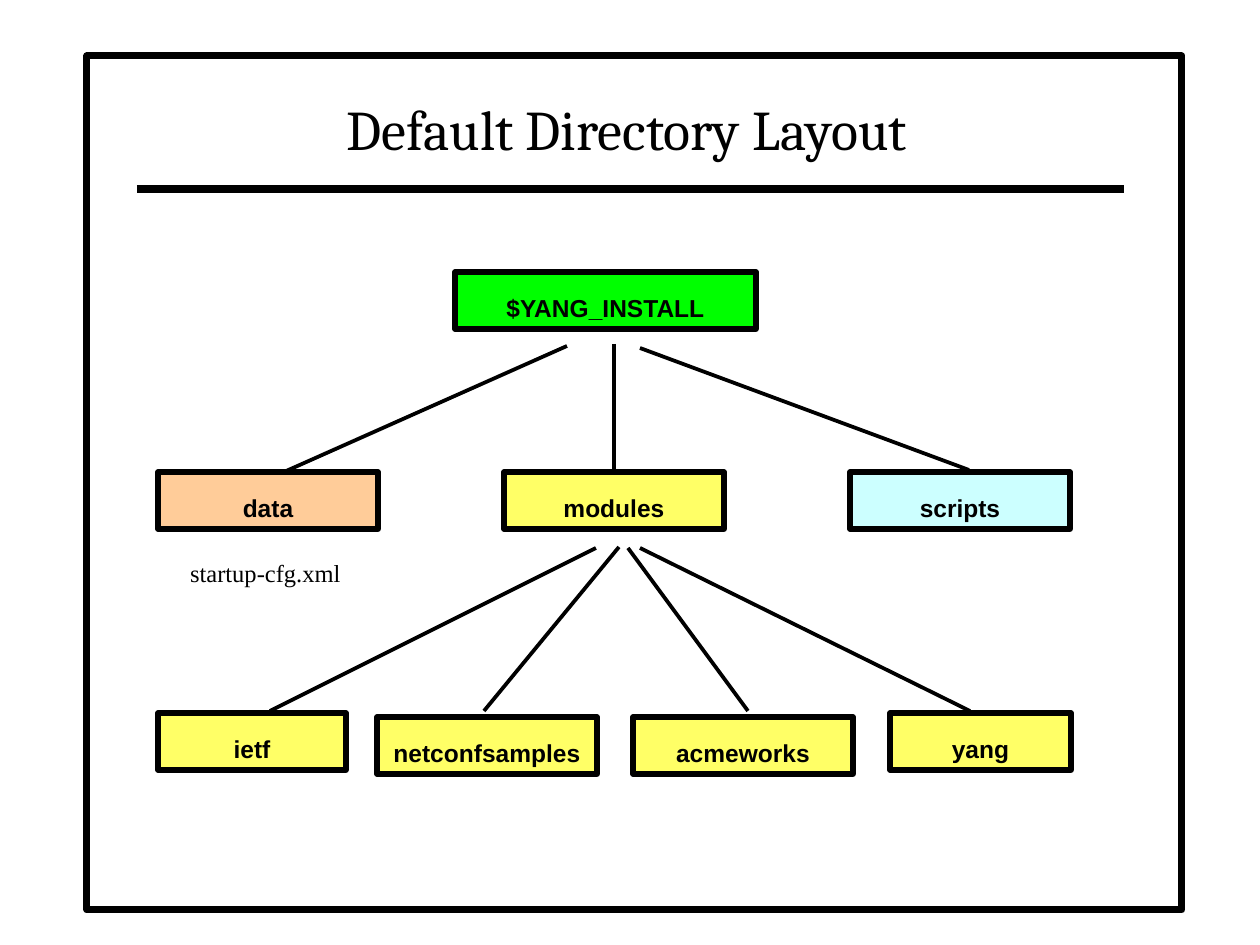
from pptx import Presentation
from pptx.dml.color import RGBColor
from pptx.enum.shapes import MSO_CONNECTOR, MSO_SHAPE
from pptx.enum.text import MSO_ANCHOR, MSO_AUTO_SIZE, PP_ALIGN
from pptx.oxml.ns import qn
from pptx.util import Pt
from lxml import etree

RECT = MSO_SHAPE.RECTANGLE
LINE = MSO_CONNECTOR.STRAIGHT
TOP, BOTTOM = MSO_ANCHOR.TOP, MSO_ANCHOR.BOTTOM
GROW = MSO_AUTO_SIZE.SHAPE_TO_FIT_TEXT
LEFT, CENTER = PP_ALIGN.LEFT, PP_ALIGN.CENTER

SCALE = 914400 / 126  # EMU in one px
COLORS = {
    "black": "000000",
    "white": "FFFFFF",
    "green": "00FF00",
    "peach": "FFCC99",
    "yellow": "FFFF66",
    "cyan": "CCFFFF",
}
HIGH = 57    # height of a folder box
WIDE = 220   # usual width of a folder box
STEP = 346   # from one second-level folder to the next


def px(n):
    return round(n * SCALE)


def color(name):
    return RGBColor.from_string(COLORS[name])


def add_box(slide, x, y, w, h, fill, weight):
    box = slide.shapes.add_shape(RECT, px(x), px(y), px(w), px(h))
    box.shadow.inherit = False
    box.fill.solid()
    box.fill.fore_color.rgb = color(fill)
    box.line.color.rgb = color("black")
    box.line.width = Pt(weight)
    return box


def add_run(para, text, font, size, bold=False):
    run = para.add_run()
    run.text = text
    run.font.name = font
    run.font.size = Pt(size)
    run.font.bold = bold
    run.font.color.rgb = color("black")


def set_frame(frame, anchor, side, edge, wrap=True):
    frame.word_wrap = wrap
    frame.auto_size = GROW
    frame.vertical_anchor = anchor
    frame.margin_left = frame.margin_right = px(side)
    frame.margin_top = frame.margin_bottom = px(edge)


def add_folder(slide, name, x, y, w, fill):
    box = add_box(slide, x, y, w, HIGH, fill, 3)
    set_frame(box.text_frame, TOP, 13, 6)
    para = box.text_frame.paragraphs[0]
    para.alignment = CENTER
    para.line_spacing = 1.5
    para.space_before = Pt(8.7)
    add_run(para, name, "Arial", 14, True)
    return box


def add_label(slide, text, spot, font, size, align, anchor, pad, wrap):
    box = slide.shapes.add_textbox(*[px(n) for n in spot])
    set_frame(box.text_frame, anchor, *pad, wrap)
    para = box.text_frame.paragraphs[0]
    para.alignment = align
    add_run(para, text, font, size)


def add_line(slide, x1, y1, x2, y2, weight):
    line = slide.shapes.add_connector(LINE, px(x1), px(y1), px(x2), px(y2))
    line.line.color.rgb = color("black")
    line.line.width = Pt(weight)
    etree.SubElement(line._element.spPr, qn("a:effectLst"))
    return line


def main():
    deck = Presentation()
    deck.slide_width, deck.slide_height = px(1260), px(945)
    slide = deck.slides.add_slide(deck.slide_layouts[6])

    # Frame, title and rule
    add_box(slide, 87, 56, 1095, 854, "white", 4)
    add_line(slide, 137, 189, 1124, 189, 4.5)
    add_label(slide, "Default Directory Layout", (136, 73, 982, 95),
              "Cambria", 32, CENTER, BOTTOM, (13, 6), True)

    # Root folder
    add_folder(slide, "$YANG_INSTALL", 455, 272, 301, "green")

    # Second level
    level = [("data", "peach"), ("modules", "yellow"), ("scripts", "cyan")]
    boxes = {}
    for i, (name, fill) in enumerate(level):
        boxes[name] = add_folder(slide, name, 158 + i * STEP, 472, WIDE, fill)

    # Folders inside modules
    for name, x, y, w in [
        ("ietf", 158, 713, 188),
        ("netconfsamples", 377, 717, WIDE),
        ("acmeworks", 633, 717, WIDE),
        ("yang", 890, 713, 181),
    ]:
        add_folder(slide, name, x, y, w, "yellow")

    # Branches, parent end first
    for ends in [
        (567, 346, 284, 472),
        (640, 348, 969, 470),
        (596, 548, 270, 711),
        (619, 547, 484, 711),
        (628, 548, 748, 711),
        (640, 548, 970, 711),
    ]:
        add_line(slide, *ends, 2.15)
    stem = add_line(slide, 614, 344, 614, 472, 2.15)
    stem.end_connect(boxes["modules"], 0)

    # File in the data folder
    add_label(slide, "startup-cfg.xml", (174, 548, 184, 49),
              "Times New Roman", 14, LEFT, TOP, (16, 10), False)

    deck.save("out.pptx")


if __name__ == "__main__":
    main()
